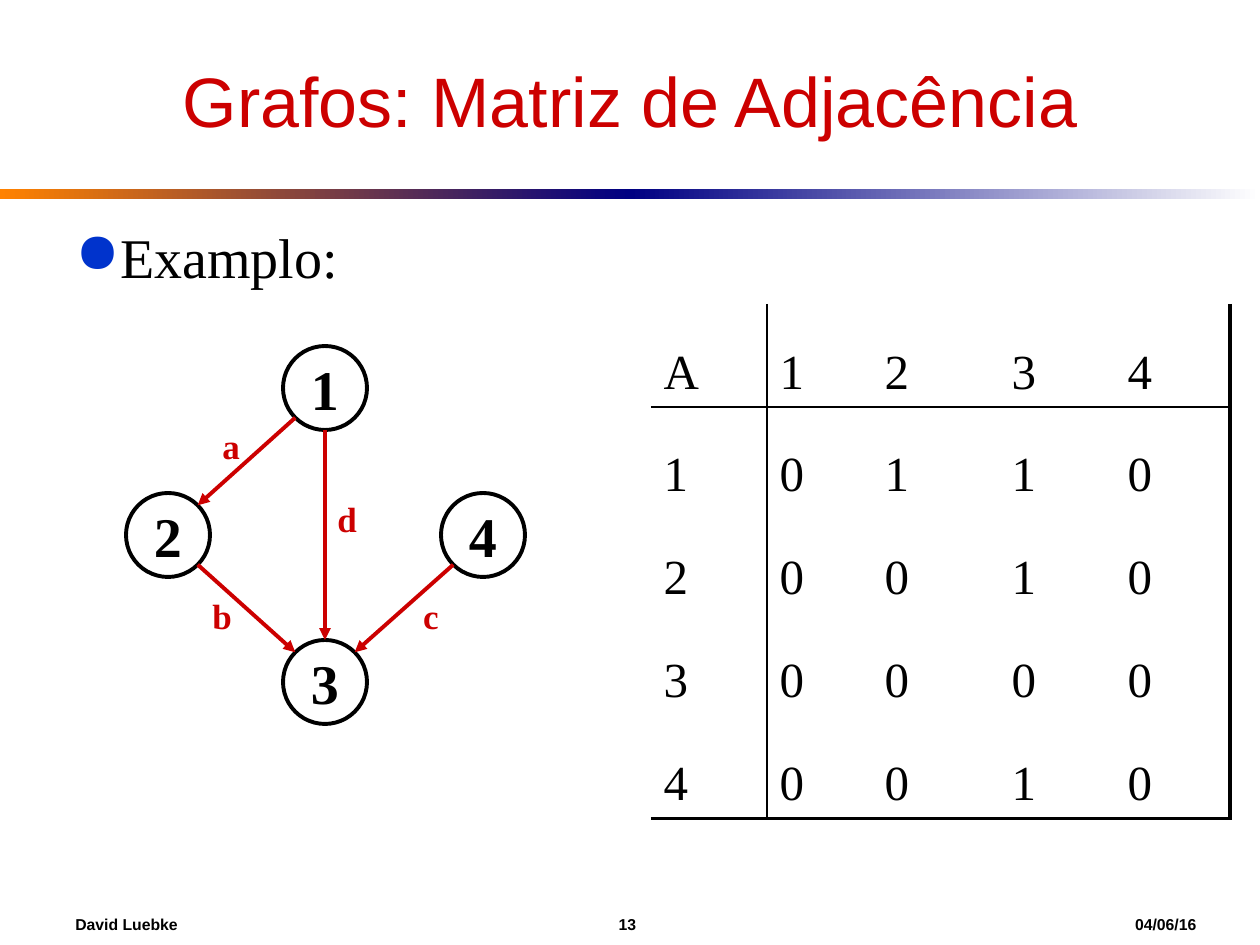
from math import hypot

from lxml.etree import SubElement
from pptx import Presentation
from pptx.dml.color import RGBColor
from pptx.enum.shapes import MSO_CONNECTOR as Connector, MSO_SHAPE as Shape
from pptx.enum.text import MSO_ANCHOR as Anchor, PP_ALIGN as Align
from pptx.oxml.ns import qn
from pptx.util import Emu, Pt

SERIF, SANS = "Times New Roman", "Arial"
BLACK, RED, BLUE = "000000", "CC0000", "0033CC"
ORANGE, NAVY, WHITE = "FF8200", "000082", "FFFFFF"


def px(length):
    """Turn pixels into EMU at 126 pixels to the inch."""
    return Emu(round(length * 914400 / 126))


def color(value):
    """Turn a hex string into a colour."""
    return RGBColor.from_string(value)


def write(frame, text, size=20, font=SERIF, fill=BLACK, bold=False,
          align=Align.LEFT, anchor=Anchor.TOP, wrap=True):
    """Put formatted text in a frame and return its paragraph."""
    frame.word_wrap = wrap
    frame.vertical_anchor = anchor
    paragraph = frame.paragraphs[0]
    paragraph.alignment = align
    run = paragraph.add_run()
    run.text = text
    run.font.size, run.font.name, run.font.bold = Pt(size), font, bold
    run.font.color.rgb = color(fill)
    return paragraph


def add_bullet(paragraph, indent):
    """Give a paragraph a blue round bullet and a hanging indent."""
    properties = paragraph._p.get_or_add_pPr()
    properties.set("marL", str(px(indent)))
    properties.set("indent", str(-px(indent)))
    bullet_color = SubElement(properties, qn("a:buClr"))
    SubElement(bullet_color, qn("a:srgbClr"), val=BLUE)
    SubElement(properties, qn("a:buChar"), char="●")


def add_tabs(paragraph, stops):
    """Set tab stops from (position, alignment) pairs."""
    tabs = SubElement(paragraph._p.get_or_add_pPr(), qn("a:tabLst"))
    for position, align in stops:
        SubElement(tabs, qn("a:tab"), pos=str(px(position)), algn=align)


def set_borders(cell, widths):
    """Draw the cell sides that have a width and hide the others."""
    properties = cell._tc.get_or_add_tcPr()
    for side in "LRTB":
        width = widths.get(side, 0)
        line = SubElement(properties, qn(f"a:ln{side}"), w=str(Pt(width)))
        if width:
            fill = SubElement(line, qn("a:solidFill"))
            SubElement(fill, qn("a:srgbClr"), val=BLACK)
        else:
            SubElement(line, qn("a:noFill"))


class SlideBuilder:
    """Hold the current slide and draw its elements in one style."""

    line_width = Pt(2.25)
    thin, thick = 0.91, 2.15

    def __init__(self, slide):
        self.slide = slide
        self.shapes = slide.shapes

    def title(self, text, left, top, width, height):
        """Place and format the title."""
        title = self.shapes.title
        title.left, title.top = px(left), px(top)
        title.width, title.height = px(width), px(height)
        write(title.text_frame, text, size=40, font=SANS, fill=RED,
              align=Align.CENTER, anchor=Anchor.MIDDLE)

    def text(self, text, left, top, width, height, **style):
        """Add a text box and return its frame."""
        box = self.shapes.add_textbox(px(left), px(top), px(width), px(height))
        write(box.text_frame, text, **style)
        return box.text_frame

    def gradient_bar(self, left, top, width, height, colors):
        """Add a bar that fades from left to right."""
        bar = self.shapes.add_shape(Shape.RECTANGLE, px(left), px(top), px(width), px(height))
        bar.shadow.inherit = False
        bar.line.fill.background()
        bar.fill.gradient()
        bar.fill.gradient_angle = 0
        for position, (stop, value) in enumerate(zip(bar.fill.gradient_stops, colors)):
            stop.position = position
            stop.color.rgb = color(value)

    def node(self, label, center, radius):
        """Add a numbered circle around a centre."""
        x, y = center
        circle = self.shapes.add_shape(Shape.OVAL, px(x - radius), px(y - radius),
                                       px(2 * radius), px(2 * radius))
        circle.shadow.inherit = False
        circle.fill.background()
        circle.line.color.rgb = color(BLACK)
        circle.line.width = self.line_width
        write(circle.text_frame, label, size=32, bold=True, wrap=False,
              align=Align.CENTER, anchor=Anchor.MIDDLE)

    def edge(self, start, end, radius):
        """Add an arrow between the facing sides or diagonals of two circles."""
        x_sign = (end[0] > start[0]) - (end[0] < start[0])
        y_sign = (end[1] > start[1]) - (end[1] < start[1])
        reach = radius / hypot(x_sign, y_sign)
        x_step, y_step = x_sign * reach, y_sign * reach
        arrow = self.shapes.add_connector(
            Connector.STRAIGHT, px(start[0] + x_step), px(start[1] + y_step),
            px(end[0] - x_step), px(end[1] - y_step))
        arrow.line.color.rgb = color(RED)
        arrow.line.width = self.line_width
        SubElement(arrow.line._get_or_add_ln(), qn("a:tailEnd"), type="triangle")
        SubElement(arrow._element.spPr, qn("a:effectLst"))

    def matrix(self, rows, left, top, widths, row_height):
        """Add the adjacency matrix with its rules."""
        table = self.shapes.add_table(len(rows), len(widths), px(left), px(top),
                                      px(sum(widths)), px(row_height * len(rows))).table
        table.first_row = table.horz_banding = False
        for column, width in zip(table.columns, widths):
            column.width = px(width)
        last_row, last_column = len(rows) - 1, len(widths) - 1
        for i, values in enumerate(rows):
            table.rows[i].height = px(row_height)
            for j, value in enumerate(values):
                cell = table.cell(i, j)
                cell.margin_top = px(53)
                write(cell.text_frame, value, size=28).line_spacing = 0.74
                set_borders(cell, {
                    "L": self.thin if j == 1 else 0,
                    "R": {0: self.thin, last_column: self.thick}.get(j, 0),
                    "T": self.thin if i == 1 else 0,
                    "B": {0: self.thin, last_row: self.thick}.get(i, 0)})
                cell.fill.background()


def main():
    """Build and save the slide."""
    presentation = Presentation()
    presentation.slide_width, presentation.slide_height = px(1260), px(945)
    builder = SlideBuilder(presentation.slides.add_slide(presentation.slide_layouts[5]))

    builder.gradient_bar(0, 189, 630, 10, (ORANGE, NAVY))
    builder.gradient_bar(630, 189, 630, 10, (NAVY, WHITE))
    footer = builder.text("David Luebke\t13\t04/06/16", 63, 903, 1134, 42,
                          size=9, font=SANS, bold=True, anchor=Anchor.MIDDLE)
    footer.margin_right = 0
    add_tabs(footer.paragraphs[0], [(552, "ctr"), (1121, "r")])
    builder.title("Grafos: Matriz de Adjacência", 63, 32, 1134, 136)
    body = builder.text("Examplo:", 63, 210, 1134, 599, size=32)
    body.margin_top = px(13)
    add_bullet(body.paragraphs[0], 45)

    radius = 42
    nodes = {"1": (325, 388), "2": (168, 535), "4": (483, 535), "3": (325, 682)}
    for label, center in nodes.items():
        builder.node(label, center, radius)
    for start, end in ("12", "23", "43", "13"):
        builder.edge(nodes[start], nodes[end], radius)
    labels = {"a": (210, 418), "d": (325, 491), "b": (200, 588), "c": (410, 588)}
    for label, (left, top) in labels.items():
        builder.text(label, left, top, 42, 55, size=20, fill=RED, bold=True,
                     align=Align.CENTER, wrap=False)

    builder.matrix(["A1234", "10110", "20010", "30000", "40010"],
                   651, 304, [116, 105, 127, 116, 115], 92)
    presentation.save("out.pptx")


if __name__ == "__main__":
    main()
